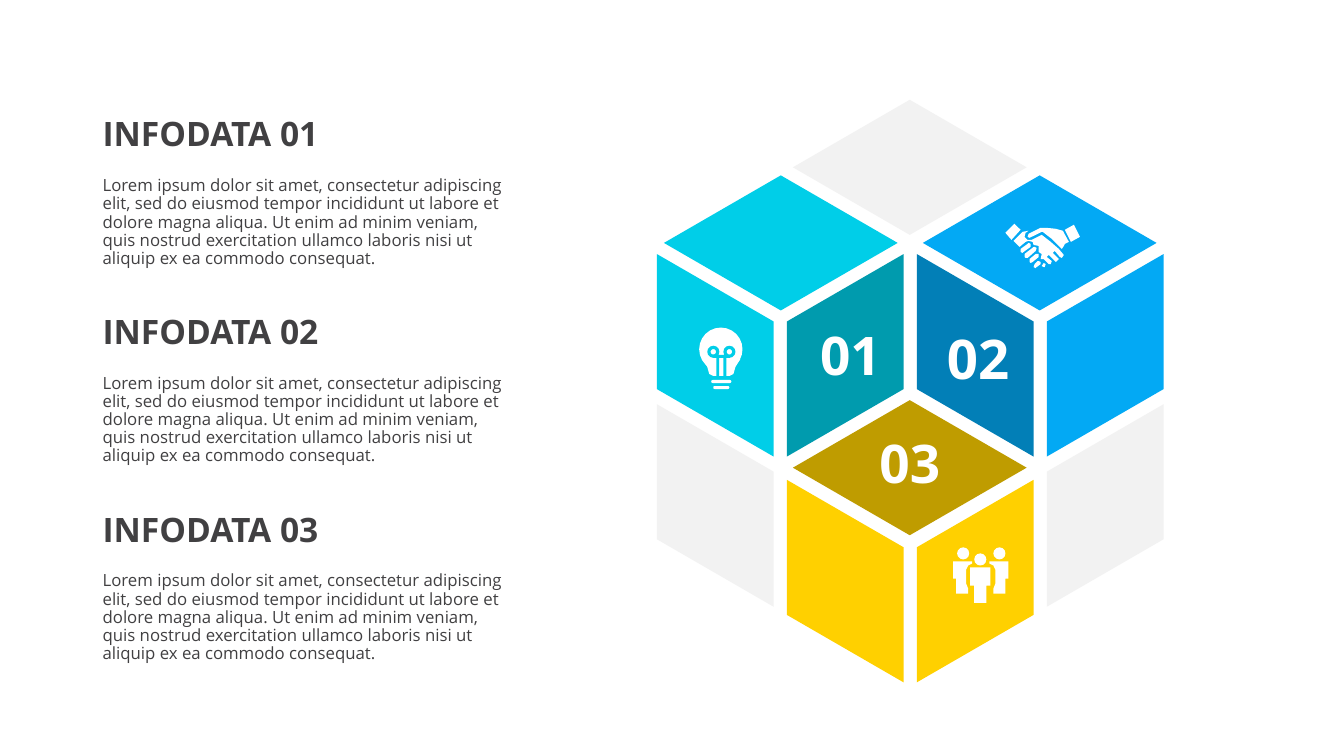
from pptx import Presentation
from pptx import util as u
from pptx.dml.color import RGBColor
from pptx.enum import shapes, text

COLORS = {
    "grey": "F2F2F2", "cyan": "00CEE8", "teal": "009BAE",
    "blue": "03A9F4", "navy": "027FB7", "yellow": "FFD000",
    "olive": "BF9C00", "white": "FFFFFF", "ink": "414042",
}
FONT = "Open Sans"
FACE_WIDTH, SLANT, EDGE = 1.16, 0.67, 1.34

BODY = ("Lorem ipsum dolor sit amet, consectetur adipiscing elit, sed do "
        "eiusmod tempor incididunt ut labore et dolore magna aliqua. Ut enim "
        "ad minim veniam, quis nostrud exercitation ullamco laboris nisi ut "
        "aliquip ex ea commodo consequat.")

# Cube faces: direction, left, top, colour
FACES = [
    ("right", 10.39, 4.01, "grey"), ("top", 7.87, 0.99, "grey"),
    ("left", 6.52, 4.01, "grey"),
    ("top", 6.59, 1.74, "cyan"), ("left", 6.52, 2.52, "cyan"),
    ("right", 7.81, 2.52, "teal"),
    ("top", 9.16, 1.74, "blue"), ("right", 10.39, 2.52, "blue"),
    ("left", 9.10, 2.52, "navy"),
    ("top", 7.87, 3.97, "olive"), ("left", 7.81, 4.76, "yellow"),
    ("right", 9.10, 4.76, "yellow"),
]

# Numbers on the inner faces: label, left, top, width, height, size
NUMBERS = [("01", 8.14, 3.20, 0.70, 0.65, 38),
           ("02", 9.40, 3.22, 0.70, 0.65, 39),
           ("03", 8.73, 4.27, 0.70, 0.65, 38)]

# Handshake outlines: cuffs, fingertips, back hand, front hand
HANDSHAKE = [
    [(10.04, 2.38), (10.13, 2.28), (10.07, 2.22), (9.98, 2.31)],
    [(10.63, 2.40), (10.72, 2.35), (10.66, 2.23), (10.57, 2.28)],
    [(10.15, 2.51), (10.13, 2.50), (10.13, 2.47), (10.20, 2.42),
     (10.21, 2.41), (10.23, 2.42), (10.23, 2.45), (10.16, 2.50)],
    [(10.20, 2.56), (10.28, 2.49), (10.29, 2.46), (10.27, 2.45),
     (10.26, 2.45), (10.17, 2.52), (10.17, 2.55), (10.18, 2.56)],
    [(10.25, 2.60), (10.31, 2.55), (10.31, 2.52), (10.30, 2.52),
     (10.28, 2.52), (10.22, 2.57), (10.22, 2.60), (10.23, 2.61)],
    [(10.29, 2.65), (10.33, 2.62), (10.33, 2.60), (10.31, 2.59),
     (10.30, 2.59), (10.27, 2.62), (10.26, 2.65), (10.28, 2.66)],
    [(10.37, 2.65), (10.38, 2.62), (10.36, 2.61), (10.34, 2.64),
     (10.36, 2.65)],
    [(10.56, 2.44), (10.57, 2.42), (10.61, 2.40), (10.55, 2.29),
     (10.48, 2.27), (10.38, 2.26), (10.33, 2.26), (10.21, 2.32),
     (10.20, 2.35), (10.22, 2.36), (10.34, 2.30), (10.35, 2.30),
     (10.44, 2.37), (10.54, 2.47)],
    [(10.43, 2.62), (10.44, 2.59), (10.39, 2.55), (10.41, 2.53),
     (10.46, 2.58), (10.48, 2.60), (10.51, 2.57), (10.45, 2.51),
     (10.47, 2.49), (10.52, 2.55), (10.54, 2.56), (10.56, 2.53),
     (10.51, 2.47), (10.43, 2.40), (10.34, 2.33), (10.24, 2.38),
     (10.20, 2.38), (10.17, 2.35), (10.18, 2.31), (10.21, 2.29),
     (10.15, 2.30), (10.06, 2.39), (10.12, 2.45), (10.18, 2.40),
     (10.21, 2.39), (10.25, 2.40), (10.26, 2.43), (10.31, 2.44),
     (10.31, 2.50), (10.34, 2.52), (10.33, 2.57), (10.36, 2.57),
     (10.41, 2.62)],
]
SIDE_PERSON = [(9.46, 5.57), (9.65, 5.57), (9.65, 5.59), (9.61, 5.61),
               (9.59, 5.65), (9.59, 5.79), (9.61, 5.84), (9.61, 5.89),
               (9.49, 5.89), (9.49, 5.74), (9.46, 5.74)]
MIDDLE_PERSON = [(9.63, 5.63), (9.83, 5.63), (9.83, 5.81), (9.79, 5.81),
                 (9.79, 5.98), (9.67, 5.98), (9.67, 5.81), (9.63, 5.81)]
BULB_NECK = [(6.97, 3.56), (7.02, 3.64), (7.04, 3.71), (7.08, 3.73),
             (7.24, 3.73), (7.28, 3.71), (7.30, 3.64), (7.35, 3.56)]


class Canvas:
    def __init__(self, page):
        self.items = page.shapes

    def paint(self, shape, color):
        shape.shadow.inherit = False
        shape.fill.solid()
        shape.fill.fore_color.rgb = RGBColor.from_string(COLORS[color])
        shape.line.fill.background()
        return shape

    def outline(self, contours, color):
        rings = [[(u.Inches(x), u.Inches(y)) for x, y in ring]
                 for ring in contours]
        builder = self.items.build_freeform(*rings[0][0])
        for index, ring in enumerate(rings):
            if index:
                builder.move_to(*ring[0])
            builder.add_line_segments(ring[1:], close=True)
        return self.paint(builder.convert_to_shape(), color)

    def preset(self, kind, left, top, width, height, color):
        frame = map(u.Inches, (left, top, width, height))
        return self.paint(self.items.add_shape(kind, *frame), color)

    def face(self, direction, x, y, color):
        w, s, e = FACE_WIDTH, SLANT, EDGE
        corners = {
            "top": [(0, s), (w, 0), (2 * w, s), (w, 2 * s)],
            "left": [(0, 0), (w, s), (w, s + e), (0, e)],
            "right": [(0, s), (w, 0), (w, e), (0, s + e)],
        }[direction]
        self.outline([[(x + dx, y + dy) for dx, dy in corners]], color)

    def label(self, words, left, top, width, height, size, color,
              bold=False, inset=True, spacing=None):
        box = self.items.add_textbox(*map(u.Inches, (left, top, width, height)))
        frame = box.text_frame
        frame.word_wrap = True
        frame.vertical_anchor = text.MSO_ANCHOR.TOP
        if not inset:
            frame.margin_left = frame.margin_right = 0
            frame.margin_top = frame.margin_bottom = 0
        para = frame.paragraphs[0]
        para.text = words
        para.line_spacing = spacing
        para.font.name = FONT
        para.font.size = u.Pt(size)
        para.font.bold = bold
        para.font.color.rgb = RGBColor.from_string(COLORS[color])


def draw_bulb(canvas):
    kinds = shapes.MSO_SHAPE
    canvas.preset(kinds.OVAL, 6.94, 3.25, 0.43, 0.43, "white")
    canvas.outline([BULB_NECK], "white")
    for loop_left, stem_left in ((7.02, 7.11), (7.18, 7.18)):
        loop = canvas.preset(kinds.DONUT, loop_left, 3.43, 0.12, 0.12, "cyan")
        loop.adjustments[0] = 0.27
        canvas.preset(kinds.RECTANGLE, stem_left, 3.52, 0.03, 0.21, "cyan")
    canvas.preset(kinds.RECTANGLE, 7.08, 3.52, 0.16, 0.03, "cyan")
    for left, top, width in ((7.06, 3.77, 0.20), (7.08, 3.83, 0.16)):
        bar = canvas.preset(kinds.ROUNDED_RECTANGLE, left, top, width, 0.03, "white")
        bar.adjustments[0] = 0.5


def draw_people(canvas):
    mirrored = [(19.47 - x, y) for x, y in SIDE_PERSON]
    canvas.outline([SIDE_PERSON, mirrored, MIDDLE_PERSON], "white")
    for left, top in ((9.50, 5.43), (9.67, 5.49), (9.86, 5.43)):
        canvas.preset(shapes.MSO_SHAPE.OVAL, left, top, 0.12, 0.12, "white")


def main():
    deck = Presentation()
    deck.slide_width, deck.slide_height = u.Inches(13.34), u.Inches(7.5)
    page = deck.slides.add_slide(deck.slide_layouts[6])
    canvas = Canvas(page)

    # Cubes
    for face in FACES:
        canvas.face(*face)

    # Icons
    draw_bulb(canvas)
    draw_people(canvas)
    canvas.outline(HANDSHAKE, "white")

    # Numbers
    for number in NUMBERS:
        canvas.label(*number, "white", bold=True, inset=False)

    # Headings and descriptions
    for number, top in enumerate((1.12, 3.08, 5.04), start=1):
        canvas.label(f"INFODATA 0{number}", 0.92, top, 2.77, 0.59, 24, "ink",
                     bold=True, spacing=0.9)
        canvas.label(BODY, 0.92, top + 0.59, 4.22, 1.06, 12, "ink", spacing=0.9)

    deck.save("out.pptx")


if __name__ == "__main__":
    main()
